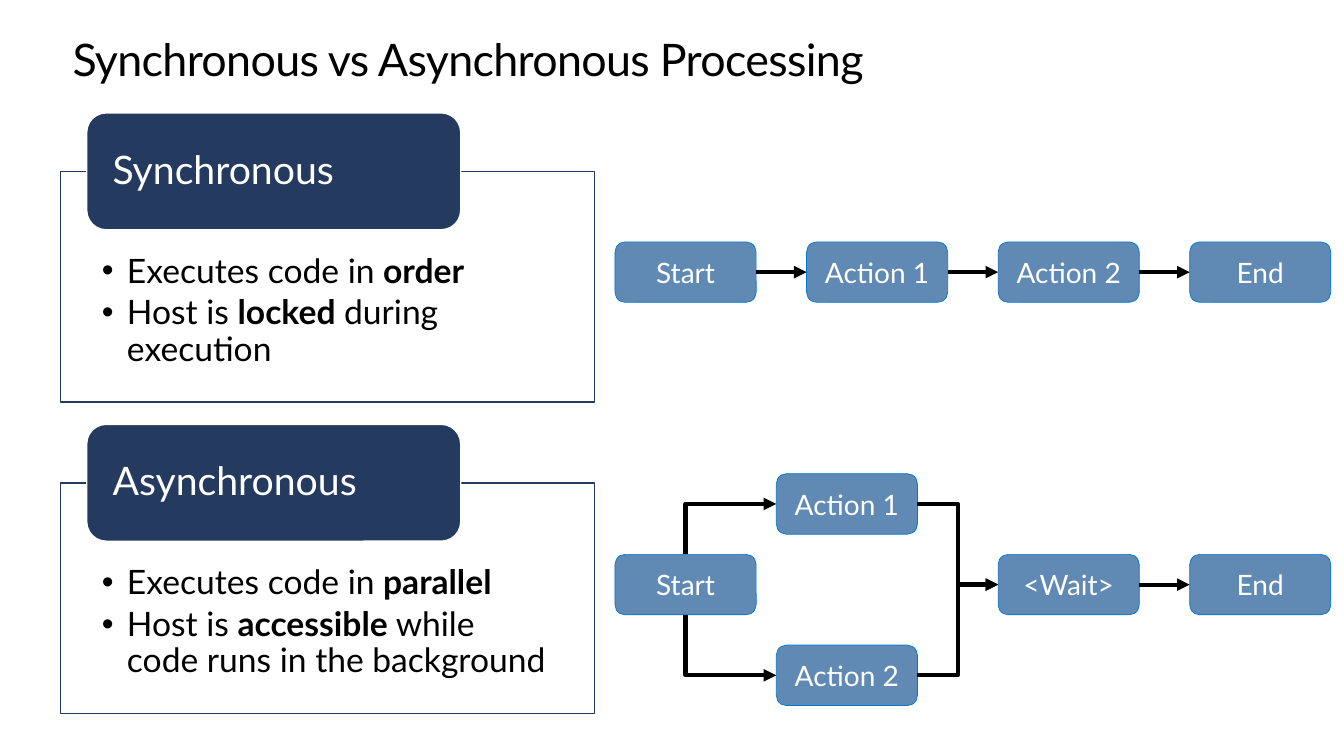
from pptx import Presentation
from pptx.util import Inches, Pt
from pptx.dml.color import RGBColor
from pptx.enum.shapes import MSO_SHAPE, MSO_CONNECTOR
from pptx.enum.text import PP_ALIGN, MSO_ANCHOR
from pptx.oxml.ns import qn
from lxml import etree

HEX = {"ink": "000000", "white": "FFFFFF", "navy": "243A5E",
       "steel": "6089B4", "edge": "0078D4"}
RGB = {name: RGBColor.from_string(code) for name, code in HEX.items()}
TOP, LEFT, BOTTOM, RIGHT = range(4)  # connection sites of a box

deck = Presentation()
deck.slide_width, deck.slide_height = Inches(13.33), Inches(7.5)
slide = deck.slides.add_slide(deck.slide_layouts[6])


def add_box(kind, place, fill, line, width, pads):
    """Draw a filled shape and return it with its text frame set up."""
    box = slide.shapes.add_shape(kind, *[Inches(n) for n in place])
    box.shadow.inherit = False
    box.fill.solid()
    box.fill.fore_color.rgb = RGB[fill]
    box.line.color.rgb = RGB[line]
    box.line.width = Pt(width)
    frame = box.text_frame
    frame.word_wrap = True
    frame.margin_left, frame.margin_top, frame.margin_right, \
        frame.margin_bottom = [Inches(n) for n in pads]
    frame.vertical_anchor = MSO_ANCHOR.MIDDLE
    return box


def add_run(para, text, size, color, bold=False):
    run = para.add_run()
    run.text = text
    run.font.name = "Lato"
    run.font.size = Pt(size)
    run.font.bold = bold
    run.font.color.rgb = RGB[color]
    return run


# Title
title = slide.shapes.add_textbox(Inches(0.72), Inches(0.35), Inches(11.9), Inches(0.5))
frame = title.text_frame
frame.word_wrap = True
frame.margin_left = frame.margin_top = frame.margin_right = frame.margin_bottom = 0
para = frame.paragraphs[0]
para.line_spacing = Pt(36.2)
run = add_run(para, "Synchronous vs Asynchronous Processing", 32, "ink")
run.font._element.set("spc", "-50")

# Panels: bold words sit at odd places in each bullet
panels = [
    ("Synchronous", 1.12, [("Executes code in ", "order"),
                           ("Host is ", "locked", " during execution")]),
    ("Asynchronous", 4.21, [("Executes code in ", "parallel"),
                            ("Host is ", "accessible", " while code runs in the background")]),
]
for name, top, points in panels:
    body = add_box(MSO_SHAPE.RECTANGLE, (0.6, top + 0.58, 5.3, 2.29),
                   "white", "navy", 1, (0.41, 0.82, 0.41, 0.19))
    frame = body.text_frame
    frame.vertical_anchor = MSO_ANCHOR.TOP
    for i, parts in enumerate(points):
        para = frame.add_paragraph() if i else frame.paragraphs[0]
        para.alignment = PP_ALIGN.LEFT
        para.line_spacing = 0.9
        para.space_after = Pt(4)
        props = para._p.get_or_add_pPr()
        props.set("marL", str(Inches(0.25)))
        props.set("indent", str(-Inches(0.25)))
        color = etree.SubElement(etree.SubElement(props, qn("a:buClr")), qn("a:srgbClr"))
        color.set("val", HEX["ink"])
        etree.SubElement(props, qn("a:buFont")).set("typeface", "Arial")
        etree.SubElement(props, qn("a:buChar")).set("char", "•")
        for j, part in enumerate(parts):
            add_run(para, part, 24, "ink", j % 2 == 1)
    head = add_box(MSO_SHAPE.ROUNDED_RECTANGLE, (0.86, top, 3.71, 1.16),
                   "navy", "white", 1, (0.2, 0, 0.2, 0))
    para = head.text_frame.paragraphs[0]
    para.alignment = PP_ALIGN.LEFT
    para.line_spacing = 0.9
    add_run(para, name, 28, "white")

# Flow steps
cols = [6.1 + 1.9 * i for i in range(4)]
steps = {
    "sync start": ("Start", cols[0], 2.4),
    "sync one": ("Action 1", cols[1], 2.4),
    "sync two": ("Action 2", cols[2], 2.4),
    "sync end": ("End", cols[3], 2.4),
    "start": ("Start", cols[0], 5.5),
    "one": ("Action 1", 7.7, 4.7),
    "two": ("Action 2", 7.7, 6.4),
    "wait": ("<Wait>", cols[2], 5.5),
    "end": ("End", cols[3], 5.5),
}
boxes = {}
for key, (text, left, top) in steps.items():
    box = add_box(MSO_SHAPE.ROUNDED_RECTANGLE, (left, top, 1.4, 0.6),
                  "steel", "edge", 0.5, [0.1] * 4)
    para = box.text_frame.paragraphs[0]
    para.alignment = PP_ALIGN.CENTER
    add_run(para, text, 20, "white")
    boxes[key] = box

# Arrows
links = [
    ("sync start", RIGHT, "sync one"), ("sync one", RIGHT, "sync two"),
    ("sync two", RIGHT, "sync end"), ("wait", RIGHT, "end"),
    ("one", RIGHT, "wait"), ("two", RIGHT, "wait"),
    ("start", TOP, "one"), ("start", BOTTOM, "two"),
]
for tail, site, tip in links:
    level = boxes[tail].top == boxes[tip].top
    kind = MSO_CONNECTOR.STRAIGHT if level else MSO_CONNECTOR.ELBOW
    arrow = slide.shapes.add_connector(kind, 0, 0, 0, 0)
    arrow.begin_connect(boxes[tail], site)
    arrow.end_connect(boxes[tip], LEFT)
    arrow.line.color.rgb = RGB["ink"]
    arrow.line.width = Pt(3)
    props = arrow._element.spPr
    etree.SubElement(arrow.line._get_or_add_ln(), qn("a:tailEnd")).set("type", "triangle")
    etree.SubElement(props, qn("a:effectLst"))
    if site != RIGHT:
        # One corner: a turned elbow that leaves the box upright
        wide, high = arrow.width, arrow.height
        arrow.left += (wide - high) // 2
        arrow.top += (high - wide) // 2
        arrow.width, arrow.height = high, wide
        props.find(qn("a:prstGeom")).set("prst", "bentConnector2")
        turn = props.find(qn("a:xfrm"))
        turn.set("rot", str((90 if site == TOP else 270) * 60000))
        turn.set("flipH", "1")
        turn.set("flipV", "1" if site == TOP else "0")

deck.save("out.pptx")
